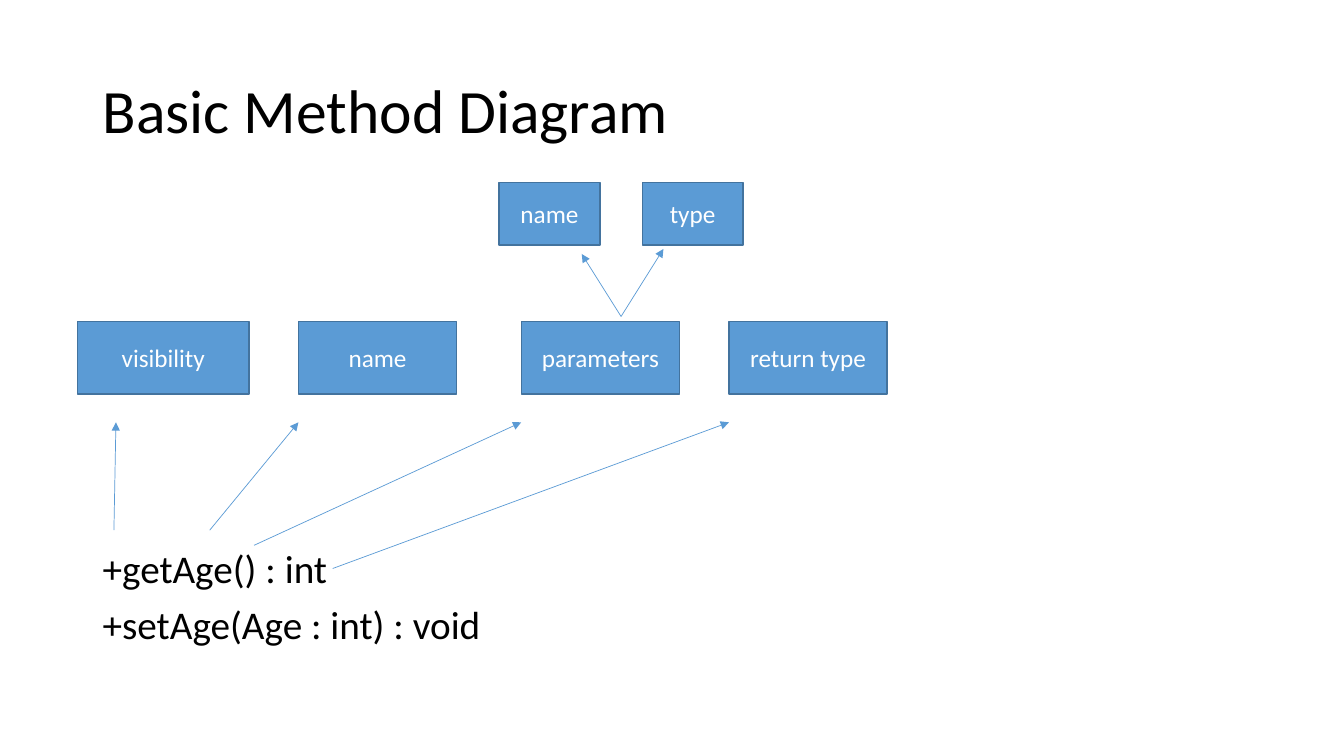
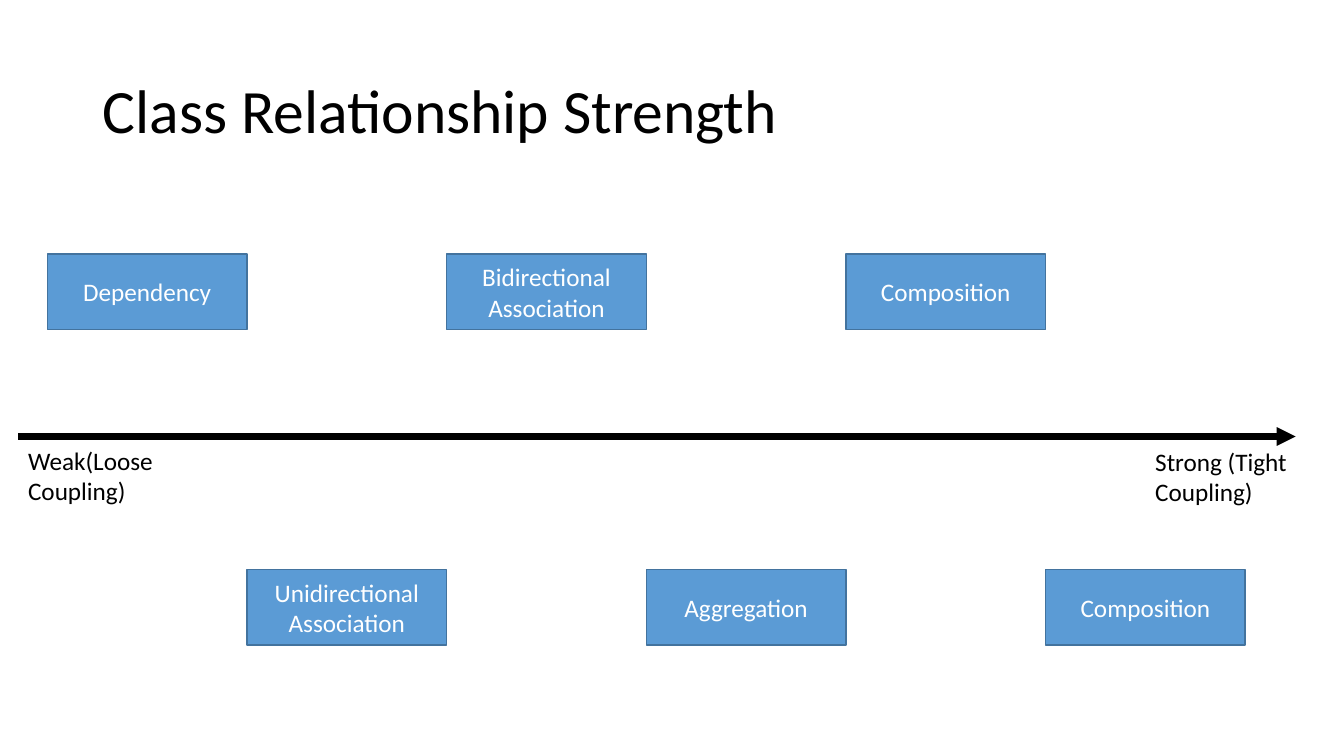
"""Builds two class-diagram slides: the parts of a method, and relationship strength."""
from pptx import Presentation
from pptx.dml.color import RGBColor
from pptx.enum.shapes import MSO_CONNECTOR, MSO_SHAPE
from pptx.enum.text import MSO_ANCHOR, PP_ALIGN
from pptx.oxml.ns import qn
from pptx.util import Inches, Pt
from lxml import etree

RECTANGLE, STRAIGHT = MSO_SHAPE.RECTANGLE, MSO_CONNECTOR.STRAIGHT
TOP, MIDDLE = MSO_ANCHOR.TOP, MSO_ANCHOR.MIDDLE
LEFT, CENTER = PP_ALIGN.LEFT, PP_ALIGN.CENTER
BLUE = RGBColor(0x5B, 0x9B, 0xD5)
DARK_BLUE = RGBColor(0x43, 0x73, 0x9E)
BLACK = RGBColor(0, 0, 0)
WHITE = RGBColor(0xFF, 0xFF, 0xFF)
FONT = "Calibri"

TITLE = dict(size=44, anchor=MIDDLE, spacing=0.9)
BOX = dict(fill=BLUE, color=WHITE, align=CENTER, anchor=MIDDLE)


def write(slide, text, left, top, width, height, fill=None, color=BLACK, size=18,
          align=LEFT, anchor=TOP, spacing=1.0, gap=0):
    area = [Inches(length) for length in (left, top, width, height)]
    if fill is None:
        holder = slide.shapes.add_textbox(*area)
    else:
        holder = slide.shapes.add_shape(RECTANGLE, *area)
        holder.shadow.inherit = False
        holder.fill.solid()
        holder.fill.fore_color.rgb = fill
        holder.line.color.rgb = DARK_BLUE
        holder.line.width = Pt(1)
    frame = holder.text_frame
    frame.word_wrap = True
    frame.vertical_anchor = anchor
    frame.text = text
    for paragraph in frame.paragraphs:
        paragraph.alignment = align
        paragraph.line_spacing = spacing
        paragraph.space_after = Pt(gap)
        paragraph.font.name = FONT
        paragraph.font.size = Pt(size)
        paragraph.font.color.rgb = color


def draw_arrow(slide, start, end, color=BLUE, width=0.5):
    arrow = slide.shapes.add_connector(STRAIGHT, *[Inches(n) for n in (*start, *end)])
    arrow.line.color.rgb = color
    arrow.line.width = Pt(width)
    etree.SubElement(arrow.line._get_or_add_ln(), qn("a:tailEnd"), type="triangle")
    etree.SubElement(arrow._element.spPr, qn("a:effectLst"))


deck = Presentation()
deck.slide_width, deck.slide_height = Inches(13.33), Inches(7.5)
blank = deck.slide_layouts[6]
method, strength = [deck.slides.add_slide(blank) for _ in range(2)]
for slide, title in ((method, "Basic Method Diagram"),
                     (strength, "Class Relationship Strength")):
    write(slide, title, 0.92, 0.4, 11.5, 1.45, **TITLE)

write(method, "+getAge() : int\n+setAge(Age : int) : void", 0.92, 5.4, 11.5, 1.36,
      size=28, spacing=0.9, gap=10)

PART_TOP, TIP_Y = 3.19, 4.19
method_parts = (
    ("visibility", 0.77, 1.7, (1.13, 5.26), 1.15),
    ("name", 2.96, 1.57, (2.08, 5.26), 2.96),
    ("parameters", 5.17, 1.57, (2.52, 5.41), 5.17),
    ("return type", 7.23, 1.57, (3.3, 5.64), 7.23),
)
for part, left, width, start, tip_x in method_parts:
    write(method, part, left, PART_TOP, width, 0.72, **BOX)
    draw_arrow(method, start, (tip_x, TIP_Y))

for part, left, tip in (("name", 4.95, (5.77, 2.52)), ("type", 6.37, (6.58, 2.47))):
    write(method, part, left, 1.81, 1, 0.62, **BOX)
    draw_arrow(method, (6.16, 3.14), tip)

COLUMN, FIRST_LEFT = 1.98, 0.47
ROW_TOPS = (2.52, 5.65)
relationships = ("Dependency", "Unidirectional\nAssociation", "Bidirectional\nAssociation",
                 "Aggregation", "Composition", "Composition")
for step, relationship in enumerate(relationships):
    write(strength, relationship, FIRST_LEFT + step * COLUMN, ROW_TOPS[step % 2],
          COLUMN, 0.75, **BOX)

draw_arrow(strength, (0.18, 4.33), (12.85, 4.33), color=BLACK, width=4.5)
write(strength, "Weak(Loose Coupling)", 0.18, 4.37, 1.98, 0.71)
write(strength, "Strong (Tight Coupling)", 11.36, 4.38, 1.54, 0.71)

deck.save("out.pptx")
